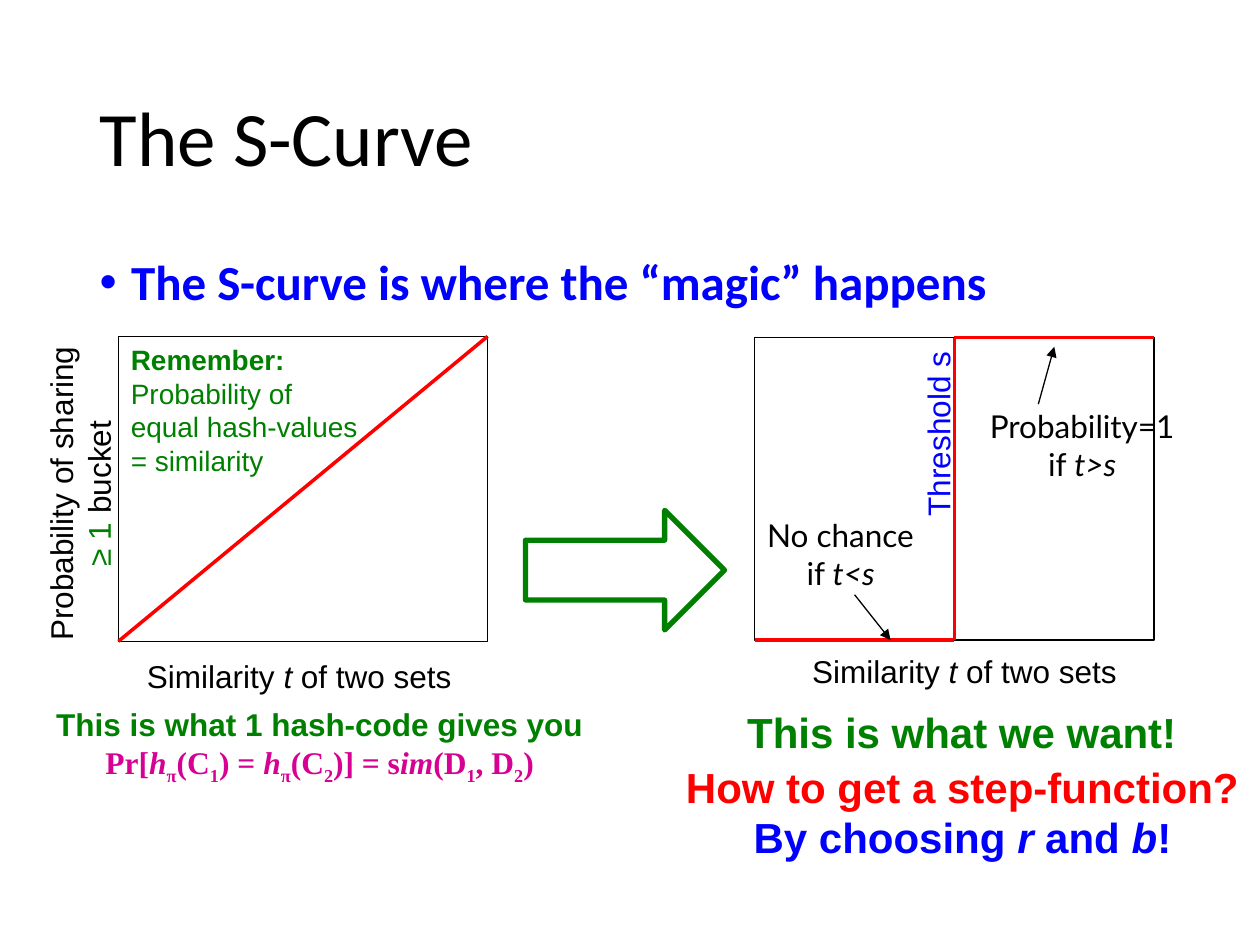
from dataclasses import dataclass

from lxml import etree
from pptx import Presentation
from pptx.dml.color import RGBColor
from pptx.enum.shapes import MSO_CONNECTOR, MSO_SHAPE
from pptx.enum.text import MSO_ANCHOR, MSO_AUTO_SIZE, PP_ALIGN
from pptx.oxml.ns import qn
from pptx.util import Inches, Pt

LEFT, CENTER = PP_ALIGN.LEFT, PP_ALIGN.CENTER
MIDDLE, TOP = MSO_ANCHOR.MIDDLE, MSO_ANCHOR.TOP
FIT_TEXT = MSO_AUTO_SIZE.SHAPE_TO_FIT_TEXT
RECTANGLE, RIGHT_ARROW = MSO_SHAPE.RECTANGLE, MSO_SHAPE.RIGHT_ARROW
STRAIGHT = MSO_CONNECTOR.STRAIGHT
SLIDE_WIDTH, SLIDE_HEIGHT = Inches(10), Inches(7.5)
COLUMNS, ROWS = 100, 75


@dataclass(frozen=True)
class Theme:
    black: str = "000000"
    blue: str = "0000FF"
    green: str = "008000"
    red: str = "FF0000"
    magenta: str = "D60093"
    heading_font: str = "Calibri"
    label_font: str = "Arial"
    note_font: str = "Lato"
    formula_font: str = "Times New Roman"
    title_size: int = 44
    body_size: int = 28
    claim_size: int = 24
    label_size: int = 18
    reminder_size: int = 16
    thin: float = 0.75
    curve: float = 2
    outline: float = 3


THEME = Theme()
ITALIC = {"italic": True}
SUBSCRIPT = {"subscript": True}


@dataclass(frozen=True)
class Box:
    left: float
    top: float
    width: float
    height: float

    def point(self, x, y):
        return round(self.left + x * self.width), round(self.top + y * self.height)

    def share(self, left, top, width, height):
        """Return the box at these shares of this one."""
        return Box(*self.point(left, top), round(width * self.width), round(height * self.height))

    def place(self, shape):
        shape.left, shape.top = self.left, self.top
        shape.width, shape.height = self.width, self.height


def grid_box(left, top, columns, rows):
    page = Box(0, 0, SLIDE_WIDTH, SLIDE_HEIGHT)
    return page.share(left / COLUMNS, top / ROWS, columns / COLUMNS, rows / ROWS)


def add_run(paragraph, text, font=THEME.label_font, size=THEME.label_size,
            color=THEME.black, bold=False, italic=False, subscript=False):
    run = paragraph.add_run()
    run.text = text
    run.font.name, run.font.size = font, Pt(size)
    run.font.bold, run.font.italic = bold, italic
    run.font.color.rgb = RGBColor.from_string(color)
    if subscript:
        run._r.get_or_add_rPr().set("baseline", "-25000")


def write_lines(frame, lines, align=CENTER, **style):
    """Write one paragraph per line; a line is a list of strings or (text, changes) pairs."""
    for index, line in enumerate(lines):
        paragraph = frame.add_paragraph() if index else frame.paragraphs[0]
        paragraph.alignment = align
        for piece in line:
            text, changes = (piece, {}) if isinstance(piece, str) else piece
            add_run(paragraph, text, **{**style, **changes})


def add_label(slide, box, lines, wrap=False, rotation=0, **style):
    shape = slide.shapes.add_textbox(box.left, box.top, box.width, box.height)
    shape.rotation = rotation
    shape.text_frame.word_wrap = wrap
    shape.text_frame.auto_size = FIT_TEXT
    write_lines(shape.text_frame, lines, **style)


def add_outline(slide, kind, box, color, width):
    shape = slide.shapes.add_shape(kind, box.left, box.top, box.width, box.height)
    shape.shadow.inherit = False
    shape.fill.background()
    shape.line.color.rgb = RGBColor.from_string(color)
    shape.line.width = Pt(width)


def add_line(slide, start, end, color=THEME.red, width=THEME.curve, arrow=False):
    connector = slide.shapes.add_connector(STRAIGHT, *start, *end)
    connector.line.color.rgb = RGBColor.from_string(color)
    connector.line.width = Pt(width)
    properties = connector._element.spPr
    if arrow:
        etree.SubElement(properties.find(qn("a:ln")), qn("a:tailEnd"), type="triangle")
    etree.SubElement(properties, qn("a:effectLst"))


def add_pointer(slide, start, end):
    add_line(slide, start, end, THEME.black, THEME.thin, arrow=True)


def add_axis_label(slide, box):
    add_label(slide, box, [["Similarity ", ("t", ITALIC), " of two sets"]])


def fill_title(slide, box):
    title = slide.shapes.title
    box.place(title)
    title.text_frame.vertical_anchor = MIDDLE
    write_lines(title.text_frame, [["The S-Curve"]], align=LEFT,
                font=THEME.heading_font, size=THEME.title_size)
    title.text_frame.paragraphs[0].line_spacing = 0.9


def fill_body(slide, box):
    body = slide.placeholders[1]
    box.place(body)
    body.text_frame.vertical_anchor = TOP
    paragraph = body.text_frame.paragraphs[0]
    properties = paragraph._p.get_or_add_pPr()
    properties.set("marL", str(Inches(0.25)))
    properties.set("indent", str(-Inches(0.25)))
    etree.SubElement(properties, qn("a:buFont"), typeface=THEME.label_font)
    etree.SubElement(properties, qn("a:buChar"), char="•")
    write_lines(body.text_frame, [["The S-curve is where the “magic” happens"]], align=LEFT,
                font=THEME.heading_font, size=THEME.body_size, color=THEME.blue, bold=True)
    paragraph.line_spacing = 0.9
    paragraph.space_before = Pt(0)


def add_one_hash_panel(slide, box):
    add_axis_label(slide, box.share(0.04, 1.03, 0.9, 0.17))
    add_label(slide, box.share(-0.56, 0.37, 0.91, 0.29),
              [["Probability of sharing"], [("≥ 1", {"color": THEME.green}), " bucket"]],
              wrap=True, rotation=270)
    add_outline(slide, RECTANGLE, box, THEME.black, THEME.thin)
    add_line(slide, box.point(0, 1), box.point(1, 0))
    add_label(slide, box.share(0, 0, 0.69, 0.5),
              [[("Remember:", {"bold": True})], ["Probability of"],
               ["equal hash-values"], ["= similarity"]],
              align=LEFT, size=THEME.reminder_size, color=THEME.green)

    formula = {"font": THEME.formula_font, "color": THEME.magenta}
    pieces = [("Pr[", {}), ("h", ITALIC), ("π", SUBSCRIPT), ("(C", {}), ("1", SUBSCRIPT),
              (") = ", {}), ("h", ITALIC), ("π", SUBSCRIPT), ("(C", {}), ("2", SUBSCRIPT),
              (")] = s", {}), ("im", ITALIC), ("(D", {}), ("1", SUBSCRIPT), (", D", {}),
              ("2", SUBSCRIPT), (")", {})]
    add_label(slide, box.share(-0.21, 1.19, 1.51, 0.29),
              [["This is what 1 hash-code gives you"],
               [(text, {**formula, **changes}) for text, changes in pieces]],
              color=THEME.green, bold=True)


def add_step_panel(slide, box):
    add_outline(slide, RECTANGLE, box, THEME.black, THEME.thin)
    corners = [box.point(*corner) for corner in ((0, 1), (0.5, 1), (0.5, 0), (1, 0))]
    for start, end in zip(corners, corners[1:]):
        add_line(slide, start, end)

    add_label(slide, box.share(0, 0.57, 0.43, 0.3),
              [["No chance"], ["if ", ("t<s", ITALIC)]], font=THEME.note_font)
    add_pointer(slide, box.point(0.25, 0.85), box.point(0.34, 1))
    add_label(slide, box.share(0.53, 0.21, 0.58, 0.3),
              [["Probability=1 if ", ("t>s", ITALIC)]], wrap=True, font=THEME.note_font)
    add_pointer(slide, box.point(0.71, 0.22), box.point(0.75, 0.03))
    add_label(slide, box.share(0.22, 0.23, 0.48, 0.17), [["Threshold s"]],
              rotation=270, align=LEFT, color=THEME.blue)
    add_axis_label(slide, box.share(0.11, 1.02, 0.83, 0.17))

    claim = {"size": THEME.claim_size, "bold": True}
    answer = {"color": THEME.blue}
    variable = {**answer, **ITALIC}
    add_label(slide, box.share(-0.05, 1.2, 1.15, 0.21), [["This is what we want!"]],
              align=LEFT, color=THEME.green, **claim)
    add_label(slide, box.share(-0.21, 1.38, 1.46, 0.38),
              [["How to get a step-function?"],
               [("By choosing ", answer), ("r", variable), (" and ", answer),
                ("b", variable), ("!", answer)]],
              color=THEME.red, **claim)


def main():
    presentation = Presentation()
    presentation.slide_width, presentation.slide_height = SLIDE_WIDTH, SLIDE_HEIGHT
    slide = presentation.slides.add_slide(presentation.slide_layouts[1])
    fill_title(slide, grid_box(6.9, 4, 86.2, 14.5))
    fill_body(slide, grid_box(6.9, 20, 86.2, 47.6))
    add_one_hash_panel(slide, grid_box(9.4, 26.7, 29.3, 24.2))
    add_step_panel(slide, grid_box(59.9, 26.8, 31.7, 24))
    add_outline(slide, RIGHT_ARROW, grid_box(41.7, 40.5, 15.8, 9.5), THEME.green, THEME.outline)
    presentation.save("out.pptx")


if __name__ == "__main__":
    main()
